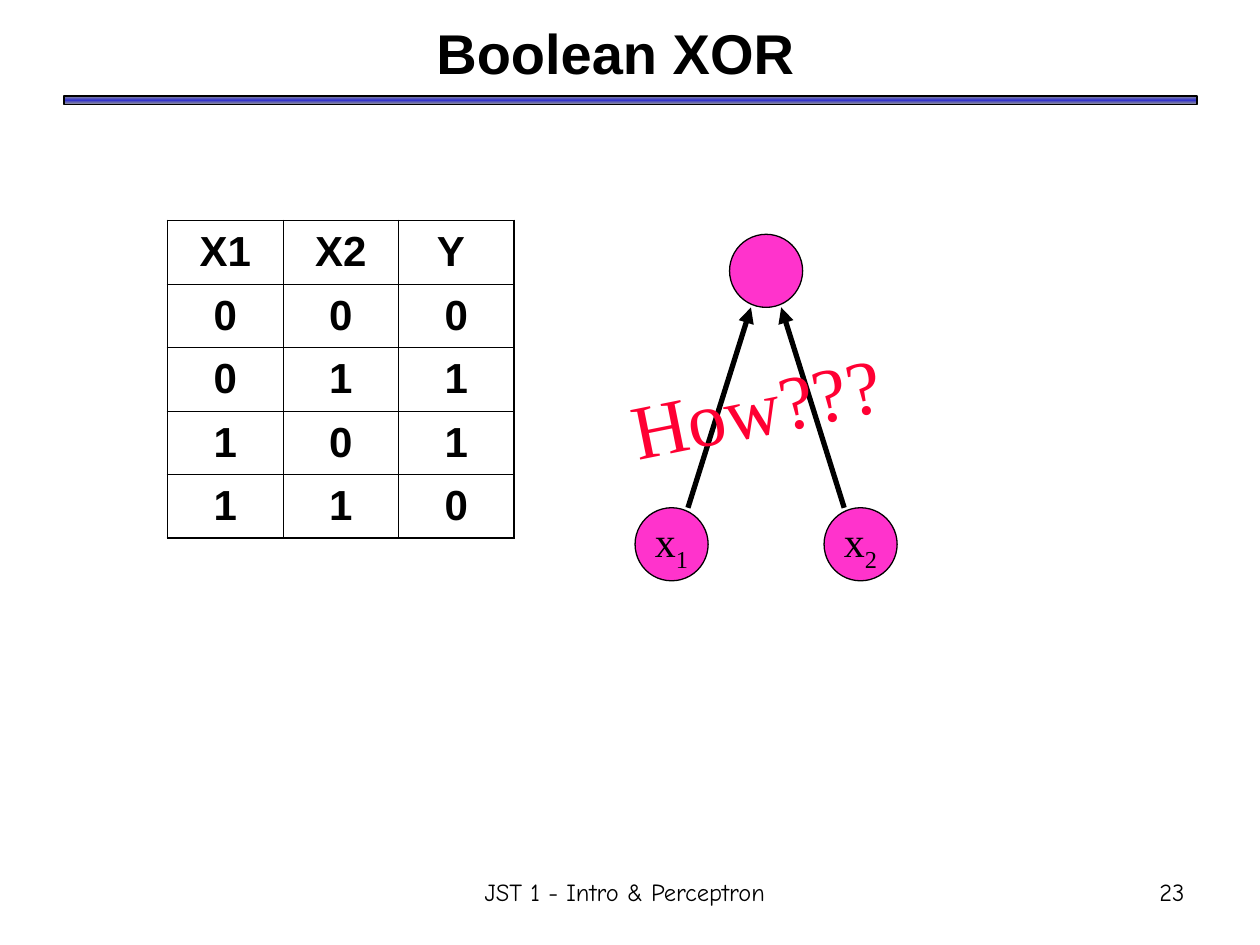
import copy

import pptx
import pptx.dml.color
import pptx.enum.shapes
import pptx.enum.text
import pptx.oxml.ns
import pptx.util
from lxml import etree

WIDTH, HEIGHT = 10, 7.5
BLACK, PINK, RED = "000000", "FF33CC", "FF0033"
DIAMETER = 0.58
TRUTH_TABLE = [
    ["X1", "X2", "Y "],
    ["0", "0", "0"],
    ["0", "1", "1"],
    ["1", "0", "1"],
    ["1", "1", "0"],
]
ALIGN = pptx.enum.text.PP_ALIGN
ANCHOR = pptx.enum.text.MSO_ANCHOR
SHAPE = pptx.enum.shapes.MSO_SHAPE


def color(value):
    return pptx.dml.color.RGBColor.from_string(value)


def inches(*values):
    return [pptx.util.Inches(value) for value in values]


def add_xml(parent, tag, **attributes):
    return etree.SubElement(parent, pptx.oxml.ns.qn(tag), attributes)


def format_paragraph(paragraph, font, size, align=ALIGN.CENTER, bold=False, ink=BLACK):
    paragraph.alignment = align
    paragraph.font.name = font
    paragraph.font.size = pptx.util.Pt(size)
    paragraph.font.bold = bold
    paragraph.font.color.rgb = color(ink)


def outline(line, width):
    line.color.rgb = color(BLACK)
    line.width = pptx.util.Pt(width)


def set_title(slide, words):
    title = slide.shapes.title
    title.left, title.top, title.width, title.height = inches(1.25, -0.09, 7.27, 1)
    title.text_frame.text = words
    title.text_frame.vertical_anchor = ANCHOR.MIDDLE
    format_paragraph(title.text_frame.paragraphs[0], "Arial", 32, bold=True)


def add_rule(slide):
    rule = slide.shapes.add_shape(SHAPE.RECTANGLE, *inches(0.51, 0.76, 8.99, 0.07))
    rule.shadow.inherit = False
    outline(rule.line, 1)
    rule.fill.gradient()
    rule.fill.gradient_angle = 90
    stop_list = rule._element.spPr.find(".//" + pptx.oxml.ns.qn("a:gsLst"))
    stop_list.insert(1, copy.deepcopy(stop_list[0]))
    for stop, position, shade in zip(
        rule.fill.gradient_stops, (0, 0.5, 1), ("969696", "3333CC", "969696")
    ):
        stop.position = position
        stop.color.rgb = color(shade)


def add_border(cell, side, width):
    line = add_xml(cell._tc.get_or_add_tcPr(), "a:ln" + side, w=str(pptx.util.Pt(width)))
    add_xml(add_xml(line, "a:solidFill"), "a:srgbClr", val=BLACK)


def add_truth_table(slide, rows):
    row_count, column_count = len(rows), len(rows[0])
    table = slide.shapes.add_table(
        row_count, column_count, *inches(1.33, 1.75, 2.75, 2.52)
    ).table
    table.first_row = table.horz_banding = False
    for row, values in enumerate(rows):
        for column, value in enumerate(values):
            cell = table.cell(row, column)
            outer = {
                "L": column == 0,
                "R": column == column_count - 1,
                "T": row == 0,
                "B": row == row_count - 1,
            }
            for side, is_outer in outer.items():
                add_border(cell, side, 1.08 if is_outer else 0.45)
            cell.fill.background()
            cell.vertical_anchor = ANCHOR.MIDDLE
            cell.text = value
            format_paragraph(cell.text_frame.paragraphs[0], "Arial", 24, bold=True)


def add_neuron(slide, left, top, subscript=None):
    neuron = slide.shapes.add_shape(SHAPE.OVAL, *inches(left, top, DIAMETER, DIAMETER))
    neuron.shadow.inherit = False
    neuron.fill.solid()
    neuron.fill.fore_color.rgb = color(PINK)
    outline(neuron.line, 0.75)
    if subscript:
        neuron.text_frame.word_wrap = False
        neuron.text_frame.vertical_anchor = ANCHOR.MIDDLE
        label = neuron.text_frame.paragraphs[0]
        format_paragraph(label, "Times New Roman", 24)
        label.add_run().text = "x"
        index = label.add_run()
        index.text = subscript
        index._r.get_or_add_rPr().set("baseline", "-25000")


def add_arrow(slide, start, end):
    arrow = slide.shapes.add_connector(
        pptx.enum.shapes.MSO_CONNECTOR.STRAIGHT, *inches(*start, *end)
    )
    outline(arrow.line, 3)
    add_xml(arrow.line._get_or_add_ln(), "a:tailEnd", type="triangle")
    add_xml(arrow._element.spPr, "a:effectLst")


def add_text(slide, words, box, font, size, align, ink=BLACK, anchor=ANCHOR.MIDDLE):
    text = slide.shapes.add_textbox(*inches(*box))
    text.text_frame.word_wrap = True
    text.text_frame.vertical_anchor = anchor
    text.text_frame.text = words
    format_paragraph(text.text_frame.paragraphs[0], font, size, align, ink=ink)
    return text


def add_network(slide):
    center, output_top, input_top, spread = 6.08, 1.86, 4.03, 0.75
    for side, subscript in ((1, "2"), (-1, "1")):
        add_neuron(slide, center + side * spread - DIAMETER / 2, input_top, subscript)
        add_arrow(
            slide,
            (center + side * 0.62, input_top),
            (center + side * 0.12, output_top + DIAMETER),
        )
    add_neuron(slide, center - DIAMETER / 2, output_top)
    question = add_text(
        slide, "How???", (4.9, 2.8, 2.24, 0.84), "Times New Roman", 44,
        ALIGN.LEFT, RED, ANCHOR.TOP,
    )
    question.text_frame.word_wrap = False
    question.text_frame.auto_size = pptx.enum.text.MSO_AUTO_SIZE.SHAPE_TO_FIT_TEXT
    question.rotation = 348.6


def main():
    deck = pptx.Presentation()
    deck.slide_width, deck.slide_height = inches(WIDTH, HEIGHT)
    slide = deck.slides.add_slide(deck.slide_layouts[5])
    add_rule(slide)
    set_title(slide, "Boolean XOR")
    add_truth_table(slide, TRUTH_TABLE)
    add_network(slide)
    footer_top = 0.91 * HEIGHT
    add_text(slide, "JST 1 - Intro & Perceptron", (3, footer_top, 3.92, 0.5),
             "Comic Neue", 14, ALIGN.CENTER)
    add_text(slide, "23", (7.42, footer_top, 2.08, 0.5), "Comic Neue", 14, ALIGN.RIGHT)
    deck.save("out.pptx")


if __name__ == "__main__":
    main()
